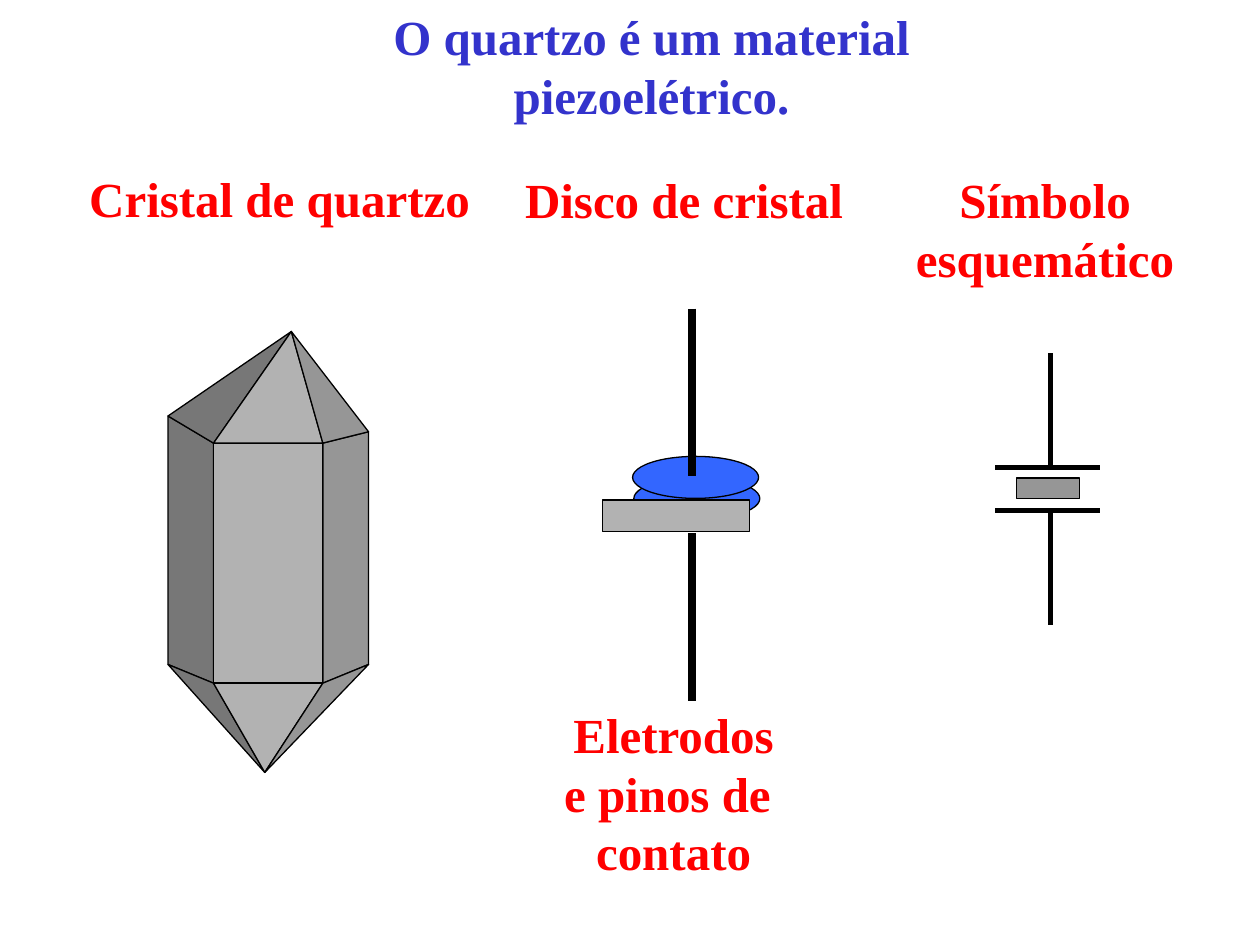
import pptx
import pptx.dml.color
import pptx.enum.shapes
import pptx.enum.text
import pptx.oxml
import pptx.util

Pt = pptx.util.Pt
SHAPES = pptx.enum.shapes.MSO_SHAPE
ALIGN = pptx.enum.text.PP_ALIGN
FONT = "Times New Roman"
COLORS = {
    "title": "3333CC",
    "label": "FF0000",
    "outline": "000000",
    "disc": "3366FF",
    "light": "B2B2B2",
    "medium": "969696",
    "dark": "777777",
}


def rgb(name):
    """Return the named palette colour."""
    return pptx.dml.color.RGBColor.from_string(COLORS[name])


def paint(shape, fill):
    """Give a shape a flat fill and a thin outline."""
    shape.shadow.inherit = False
    shape.fill.solid()
    shape.fill.fore_color.rgb = rgb(fill)
    shape.line.color.rgb = rgb("outline")
    shape.line.width = Pt(0.75)


def add_solid(shapes, kind, left, top, width, height, fill):
    """Add a painted preset shape."""
    paint(shapes.add_shape(kind, Pt(left), Pt(top), Pt(width), Pt(height)), fill)


def add_facet(shapes, left, top, points, fill):
    """Add a painted polygon whose points are relative to left and top."""
    corners = [(Pt(left + x), Pt(top + y)) for x, y in points]
    builder = shapes.build_freeform(*corners[0], scale=1.0)
    builder.add_line_segments(corners[1:], close=True)
    paint(builder.convert_to_shape(), fill)


def add_wire(shapes, start, end, width):
    """Add a straight black line without shadow."""
    line = shapes.add_connector(
        pptx.enum.shapes.MSO_CONNECTOR.STRAIGHT, *map(Pt, start + end)
    )
    line.line.color.rgb = rgb("outline")
    line.line.width = Pt(width)
    properties = line._element.spPr
    properties.append(properties.makeelement(pptx.oxml.ns.qn("a:effectLst"), {}))


def write_text(shape, text, color="label", size=28, bold=True, align=ALIGN.CENTER):
    """Write one paragraph for each line of text."""
    frame = shape.text_frame
    frame.text = text
    frame.word_wrap = False
    frame.auto_size = pptx.enum.text.MSO_AUTO_SIZE.NONE
    frame.vertical_anchor = pptx.enum.text.MSO_ANCHOR.TOP
    for paragraph in frame.paragraphs:
        paragraph.alignment = align
        paragraph.font.name = FONT
        paragraph.font.size = Pt(size)
        paragraph.font.bold = bold
        paragraph.font.color.rgb = rgb(color)


def add_label(slide, left, top, width, height, text, **text_format):
    """Add a label in its own text box."""
    box = slide.shapes.add_textbox(Pt(left), Pt(top), Pt(width), Pt(height))
    write_text(box, text, **text_format)


def add_title(slide, left, top, width, height, text):
    """Place and fill the title placeholder."""
    title = slide.shapes.title
    title.left, title.top = Pt(left), Pt(top)
    title.width, title.height = Pt(width), Pt(height)
    write_text(title, text, color="title")


def add_crystal(slide, left, top):
    """Draw the quartz crystal from its shared corner points."""
    apex, foot = (70.5, 0), (55.3, 252)
    upper = [(0, 48.3), (26, 63.8), (88.5, 63.8), (114.6, 57.3)]
    lower = [(0, 190.3), (26, 201), (88.5, 201), (114.6, 190.3)]
    for index, fill in enumerate(("dark", "light", "medium")):
        top_edge = upper[index:index + 2]
        bottom_edge = lower[index:index + 2]
        add_facet(slide.shapes, left, top, top_edge + bottom_edge[::-1], fill)
        add_facet(slide.shapes, left, top, [foot] + bottom_edge, fill)
        add_facet(slide.shapes, left, top, [apex] + top_edge, fill)


def add_disc(slide, left, top):
    """Draw the crystal disc with its electrodes and contact pins."""
    add_solid(slide.shapes, SHAPES.OVAL, left + 18, top + 96.5, 72, 24, "disc")
    add_solid(slide.shapes, SHAPES.RECTANGLE, left, top + 109.4, 84, 18, "light")
    add_solid(slide.shapes, SHAPES.OVAL, left + 17.3, top + 84.4, 72, 24, "disc")
    pins = slide.shapes.add_group_shape().shapes
    for start in (0, 128.2):
        add_wire(pins, (left + 51.2, top + start), (left + 51.2, top + start + 95.8), 4.5)


def add_symbol(slide, left, top, width, height):
    """Draw the schematic symbol: a crystal between two plates with leads."""
    symbol = slide.shapes.add_group_shape().shapes
    center, lead = left + 31.7, 65.5
    add_solid(symbol, SHAPES.RECTANGLE, left + 12.2, top + 71.5, 36, 12, "medium")
    for plate, end in ((top + lead, top), (top + height - lead, top + height)):
        add_wire(symbol, (left, plate), (left + width, plate), 3)
        add_wire(symbol, (center, plate), (center, end), 3)


def main():
    """Build the quartz slide and save it."""
    presentation = pptx.Presentation()
    presentation.slide_width, presentation.slide_height = Pt(720), Pt(540)
    slide = presentation.slides.add_slide(presentation.slide_layouts[5])
    add_title(slide, 135.4, 0, 473.8, 41, "O quartzo é um material piezoelétrico.")
    add_crystal(slide, 96, 189.4)
    add_disc(slide, 344.2, 176.4)
    add_symbol(slide, 568.8, 201.6, 60, 155.5)
    add_label(slide, 43.9, 92.9, 231.8, 41, "Cristal de quartzo", align=ALIGN.LEFT)
    add_label(slide, 293, 93.6, 195.8, 41, "Disco de cristal")
    add_label(slide, 315.4, 398.9, 139, 108, "Eletrodos\ne pinos de \ncontato")
    add_label(slide, 516.2, 93.6, 162, 74.9, "Símbolo\nesquemático")
    presentation.save("out.pptx")


if __name__ == "__main__":
    main()
